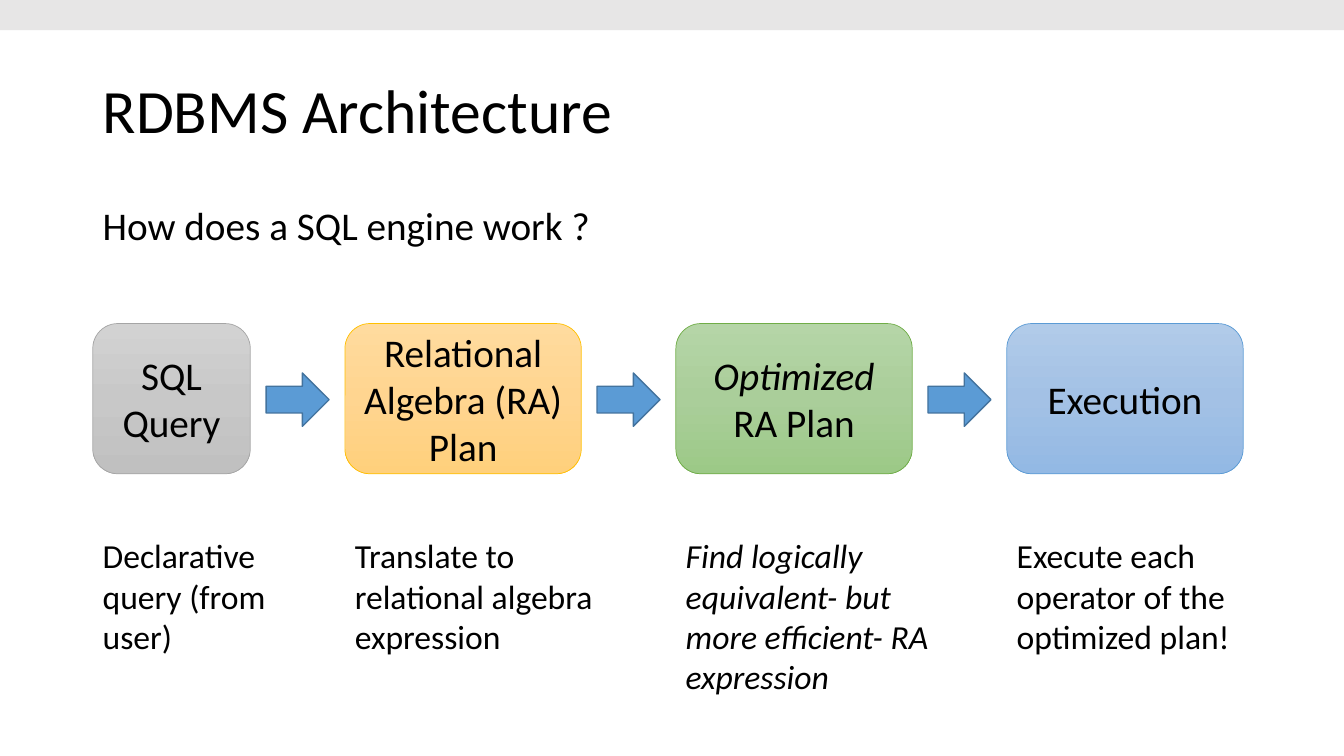
from copy import deepcopy

from pptx import Presentation
from pptx.dml.color import RGBColor
from pptx.enum.shapes import MSO_SHAPE as Kind
from pptx.enum.text import MSO_ANCHOR as Anchor, PP_ALIGN as Align
from pptx.oxml.ns import qn
from pptx.util import Inches, Pt

WIDE, HIGH = 13.33, 7.5
LEFT, RIGHT = 0.92, 12.33
COL = (RIGHT - LEFT) / 14.6
ROW = HIGH / 75

BLACK = RGBColor(0x00, 0x00, 0x00)
BAND = RGBColor(0xE7, 0xE6, 0xE6)
BLUE = RGBColor(0x5B, 0x9B, 0xD5)
NAVY = RGBColor(0x43, 0x73, 0x9E)
GRAY = RGBColor(0xA5, 0xA5, 0xA5)
GOLD = RGBColor(0xFF, 0xC0, 0x00)
GREEN = RGBColor(0x70, 0xAD, 0x47)
GRAYS = RGBColor(0xD2, 0xD2, 0xD2), RGBColor(0xC8, 0xC8, 0xC8), RGBColor(0xC0, 0xC0, 0xC0)
GOLDS = RGBColor(0xFF, 0xDB, 0x9E), RGBColor(0xFF, 0xD5, 0x90), RGBColor(0xFF, 0xD0, 0x7C)
GREENS = RGBColor(0xB5, 0xD5, 0xA7), RGBColor(0xAA, 0xCE, 0x9A), RGBColor(0x9C, 0xC9, 0x87)
BLUES = RGBColor(0xB1, 0xCB, 0xE9), RGBColor(0xA3, 0xC1, 0xE5), RGBColor(0x93, 0xB9, 0xE4)


class Deck:
    """Holds the text style and the current slide."""

    def __init__(self, slide, font="Calibri", ink=BLACK):
        """Keep the slide, font and text colour."""
        self.shapes, self.font, self.ink = slide.shapes, font, ink

    def place(self, col, row, wide, high):
        """Turn grid columns and rows into slide lengths."""
        return (Inches(LEFT + col * COL), Inches(row * ROW),
                Inches(wide * COL), Inches(high * ROW))

    def label(self, shape, runs, size, align=Align.LEFT, anchor=Anchor.TOP, pitch=1.0):
        """Fill a shape with one paragraph of (text, italic) runs."""
        frame = shape.text_frame
        frame.word_wrap, frame.vertical_anchor = True, anchor
        para = frame.paragraphs[0]
        para.alignment, para.line_spacing = align, pitch
        for text, slant in runs:
            run = para.add_run()
            run.text = text
            font = run.font
            font.name, font.size, font.italic = self.font, Pt(size), slant
            font.color.rgb = self.ink

    def text(self, spot, runs, size, **style):
        """Add a text box."""
        self.label(self.shapes.add_textbox(*self.place(*spot)), runs, size, **style)

    def shape(self, kind, spot, fill, line=None, width=1):
        """Add a preset shape with a plain or a three-stop fill."""
        shape = self.shapes.add_shape(kind, *spot)
        shape.shadow.inherit = False
        if isinstance(fill, RGBColor):
            shape.fill.solid()
            shape.fill.fore_color.rgb = fill
        else:
            self.blend(shape, fill)
        if line is None:
            shape.line.fill.background()
        else:
            shape.line.color.rgb, shape.line.width = line, Pt(width)
        return shape

    def blend(self, shape, tints):
        """Shade a shape from top to bottom through evenly spaced tints."""
        fill = shape.fill
        fill.gradient()
        fill.gradient_angle = 270
        stops = next(shape._element.spPr.iter(qn("a:gsLst")))
        stops.append(deepcopy(stops[-1]))
        for i, (stop, tint) in enumerate(zip(fill.gradient_stops, tints)):
            stop.position = i / (len(tints) - 1)
            stop.color.rgb = tint

    def band(self, share):
        """Add the band across the top, as a share of the height."""
        self.shape(Kind.RECTANGLE, (0, 0, Inches(WIDE), Inches(HIGH * share)), BAND)

    def arrow(self, col):
        """Add an arrow between two steps."""
        self.shape(Kind.RIGHT_ARROW, self.place(col, 37, 0.8, 5.3), BLUE, NAVY)

    def step(self, col, wide, runs, tints, line):
        """Add a rounded step box."""
        box = self.shape(Kind.ROUNDED_RECTANGLE, self.place(col, 32.1, wide, 14.9),
                         tints, line, 0.5)
        self.label(box, runs, 28, Align.CENTER, Anchor.MIDDLE)


STEPS = [
    (2, [("SQL Query", False)], GRAYS, GRAY,
     2.55, [("Declarative query (from user)", False)]),
    (3, [("Relational Algebra (RA) Plan", False)], GOLDS, GOLD,
     3.45, [("Translate to relational algebra expression", False)]),
    (3, [("Optimized", True), (" RA Plan", False)], GREENS, GREEN,
     3.45, [("Find logically equivalent- but more efficient- RA expression", True)]),
    (3, [("Execution", False)], BLUES, BLUE,
     3.45, [("Execute each operator of the optimized plan!", False)]),
]


def main():
    """Build the slide and save it."""
    prs = Presentation()
    prs.slide_width, prs.slide_height = Inches(WIDE), Inches(HIGH)
    deck = Deck(prs.slides.add_slide(prs.slide_layouts[6]))
    deck.band(0.04)
    deck.text((0, 4, 14.7, 14.5), [("RDBMS Architecture", False)], 44,
              anchor=Anchor.MIDDLE, pitch=0.9)
    deck.text((0, 20, 14.7, 6.6), [("How does a SQL engine work ?", False)], 28, pitch=0.9)
    col = 0
    for wide, name, tints, line, span, note in STEPS:
        if col:
            deck.arrow(col - 1)
        deck.step(col, wide, name, tints, line)
        deck.text((col, 52.6, span, 13.1), note, 24)
        col += wide + 1.2
    prs.save("out.pptx")


main()
